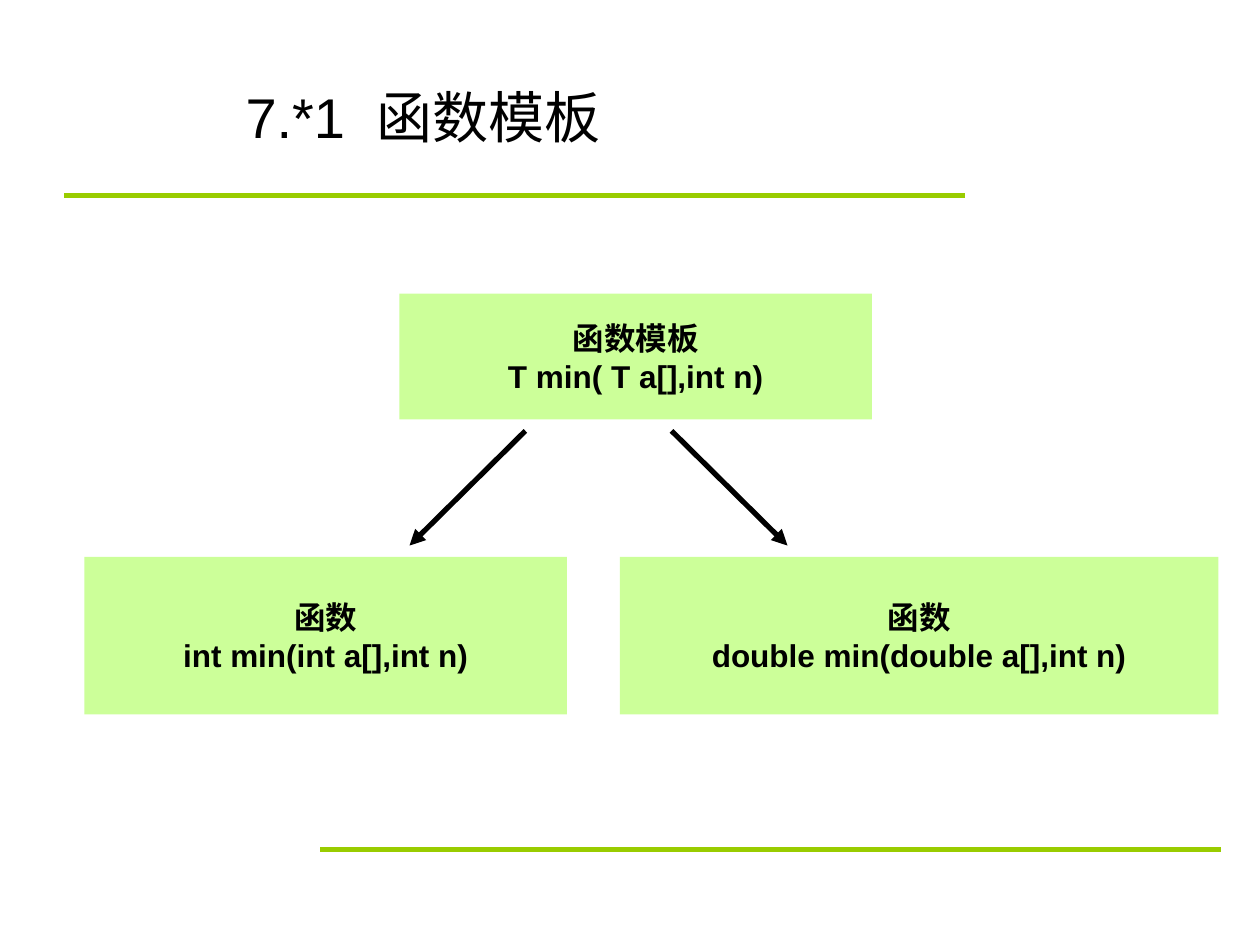
from lxml import etree
from pptx import Presentation
from pptx import util as u
from pptx.dml.color import RGBColor
from pptx.enum import shapes, text
from pptx.oxml.ns import qn

COLORS = {"rule": "99CC00", "box": "CCFF99", "ink": "000000"}
FONT = "Arial"


def color(name):
    return RGBColor.from_string(COLORS[name])


def add_text(paragraph, words, size, bold=False):
    run = paragraph.add_run()
    run.text = words
    run.font.name = FONT
    run.font.size = u.Pt(size)
    run.font.bold = bold
    run.font.color.rgb = color("ink")


def add_line(slide, start, end, color_name, arrow=False):
    line = slide.shapes.add_connector(
        shapes.MSO_CONNECTOR.STRAIGHT, *map(u.Inches, (*start, *end)))
    line.line.color.rgb = color(color_name)
    line.line.width = u.Pt(3)
    if arrow:
        etree.SubElement(line.line._get_or_add_ln(), qn("a:tailEnd"), type="triangle")
    etree.SubElement(line._element.spPr, qn("a:effectLst"))


def add_rules(slide, left, top, width, height):
    """Draw a rule from the top left corner and one to the bottom right corner."""
    length = 7.15
    right, bottom = left + width, top + height
    add_line(slide, (left, top), (left + length, top), "rule")
    add_line(slide, (right - length, bottom), (right, bottom), "rule")


def add_title(slide, left, top, width, height):
    title = slide.shapes.add_textbox(*map(u.Inches, (left, top, width, height)))
    frame = title.text_frame
    frame.word_wrap = True
    frame.vertical_anchor = text.MSO_ANCHOR.MIDDLE
    add_text(frame.paragraphs[0], "7.*1  函数模板", 32)


def add_function_box(slide, left, top, width, height, heading, signature):
    box = slide.shapes.add_shape(
        shapes.MSO_SHAPE.RECTANGLE, *map(u.Inches, (left, top, width, height)))
    box.shadow.inherit = False
    box.fill.solid()
    box.fill.fore_color.rgb = color("box")
    box.line.fill.background()
    frame = box.text_frame
    frame.word_wrap = False
    frame.vertical_anchor = text.MSO_ANCHOR.MIDDLE
    for paragraph, words in zip((frame.paragraphs[0], frame.add_paragraph()),
                                (heading, signature)):
        paragraph.alignment = text.PP_ALIGN.CENTER
        add_text(paragraph, words, 18, bold=True)


def add_template_tree(slide, left, top, width, height):
    """Place the template above, its two functions below, and arrows between."""
    template_height, function_height = 1, 1.25
    int_width, double_width = 3.83, 4.75
    functions_top = top + height - function_height
    add_function_box(slide, left + 2.5, top, 3.75, template_height,
                     "函数模板", "T min( T a[],int n)")

    arrow_center, gap = left + 4.08, 0.09
    for side in (-1, 1):
        add_line(slide,
                 (arrow_center + side * 0.58, top + template_height + gap),
                 (arrow_center + side * 1.5, functions_top - gap),
                 "ink", arrow=True)

    add_function_box(slide, left, functions_top, int_width, function_height,
                     "函数", "int min(int a[],int n)")
    add_function_box(slide, left + width - double_width, functions_top,
                     double_width, function_height,
                     "函数", "double min(double a[],int n)")


def main():
    deck = Presentation()
    deck.slide_width, deck.slide_height = u.Inches(10), u.Inches(7.5)
    slide = deck.slides.add_slide(deck.slide_layouts[6])
    add_rules(slide, 0.51, 1.55, 9.18, 5.19)
    add_title(slide, 1.85, 0.3, 7.65, 1.25)
    add_template_tree(slide, 0.67, 2.33, 9, 3.34)
    deck.save("out.pptx")


if __name__ == "__main__":
    main()
